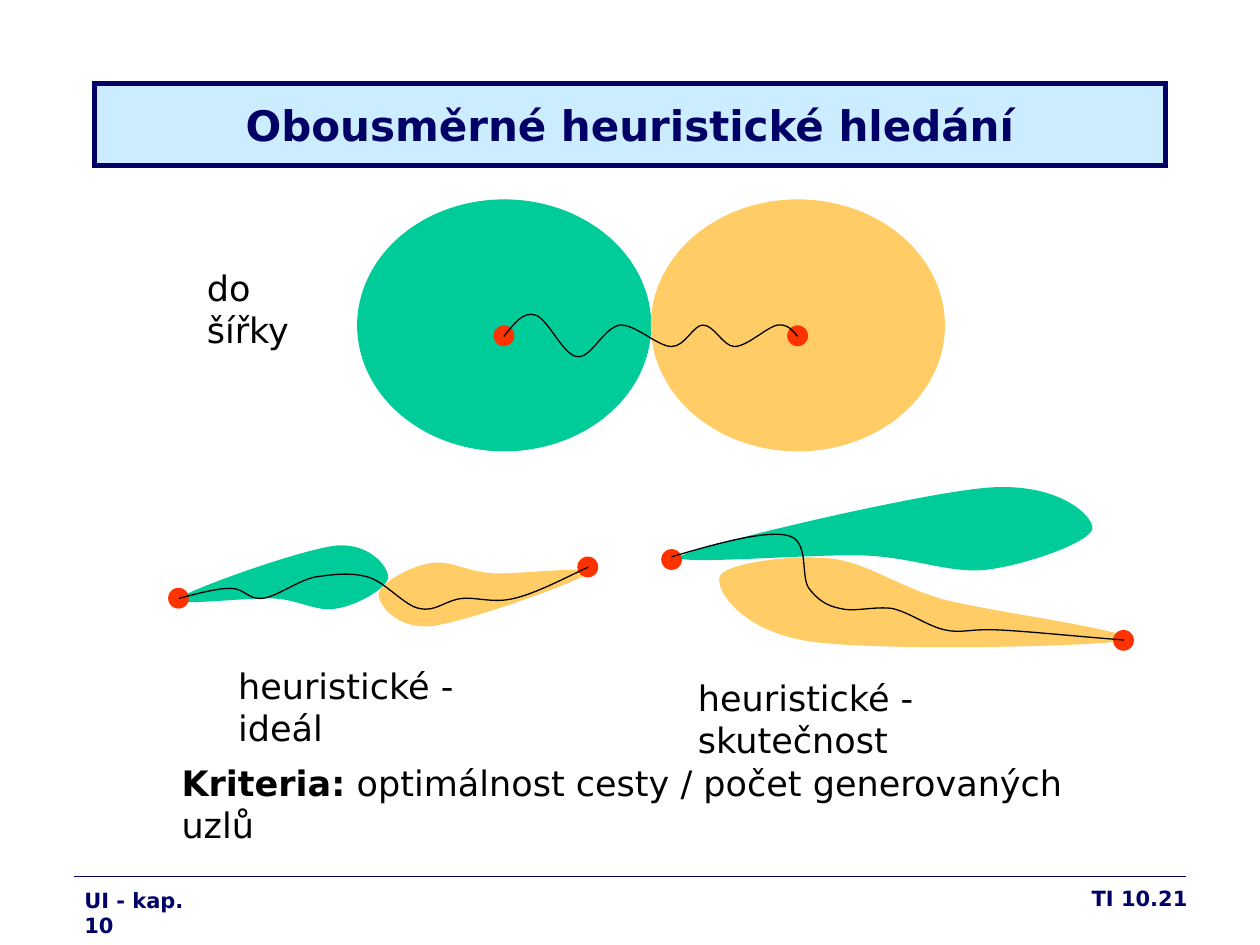
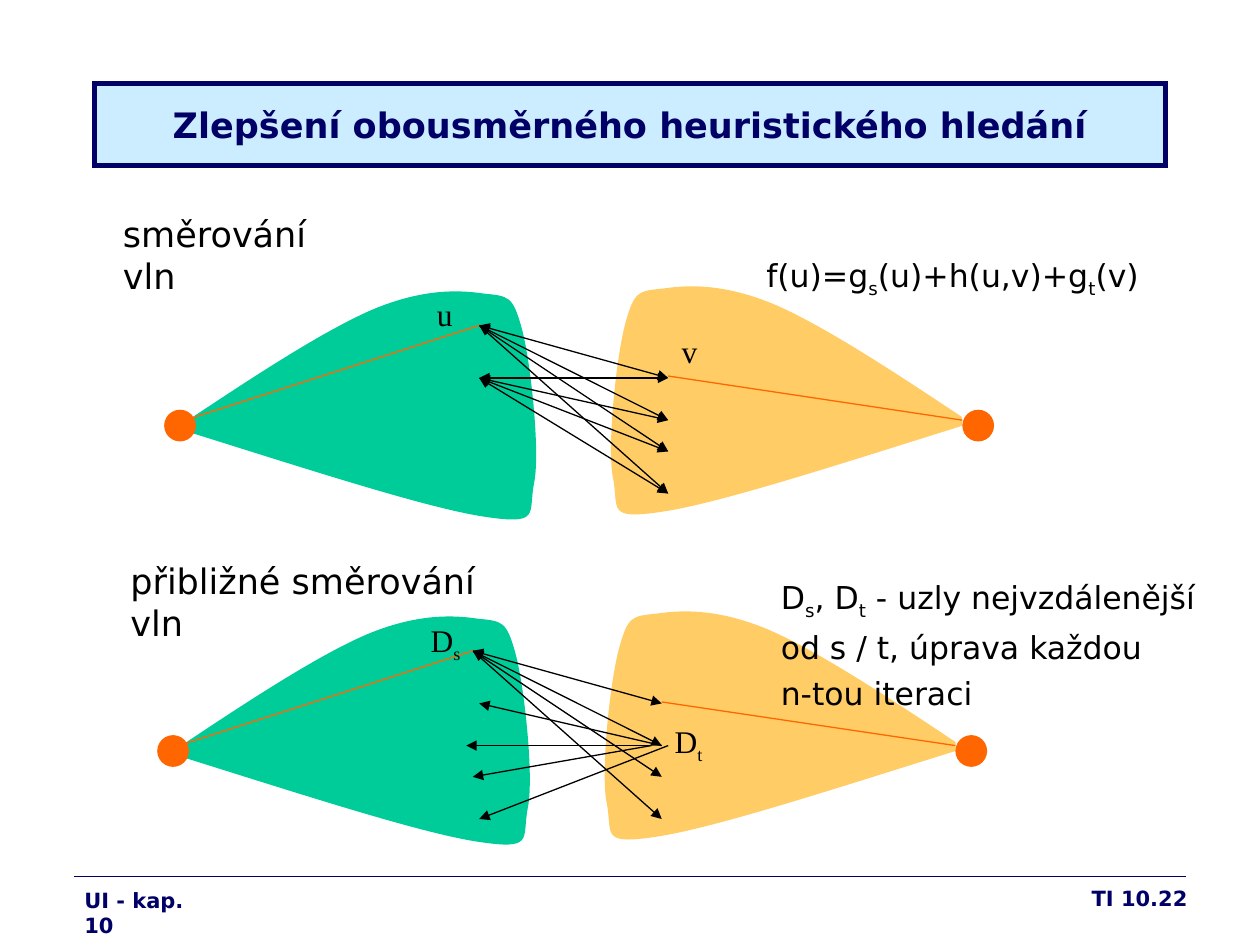
import math
import pptx
import pptx.util
import pptx.dml.color
import pptx.enum.shapes
import pptx.enum.text
import pptx.oxml.ns
from lxml import etree

Cm = pptx.util.Cm
Pt = pptx.util.Pt
RGBColor = pptx.dml.color.RGBColor
SHAPE = pptx.enum.shapes.MSO_SHAPE
ALIGN = pptx.enum.text.PP_ALIGN
ANCHOR = pptx.enum.text.MSO_ANCHOR
qn = pptx.oxml.ns.qn

NAVY = RGBColor(0x00, 0x00, 0x66)
PALE_BLUE = RGBColor(0xCC, 0xEC, 0xFF)
GREEN = RGBColor(0x00, 0xCC, 0x99)
SAND = RGBColor(0xFF, 0xCC, 0x66)
RED = RGBColor(0xFF, 0x33, 0x00)
ORANGE = RGBColor(0xFF, 0x66, 0x00)
BLACK = RGBColor(0, 0, 0)
SANS, SERIF = "DejaVu Sans", "Times New Roman"
CURVE_UNIT = Cm(2.54) / 100  # curve points count hundredths of an inch


def write(sp, paragraphs, size, font=SANS, color=BLACK, bold=False, align=ALIGN.LEFT):
    """Fill a shape with paragraphs of (text, style) runs; style is "", "b" or "sub"."""
    tf = sp.text_frame
    tf.word_wrap = True
    for i, runs in enumerate(paragraphs):
        p = tf.add_paragraph() if i else tf.paragraphs[0]
        p.alignment = align
        if i:
            p.space_before = Pt(4.5)
        for text, style in runs:
            r = p.add_run()
            r.text = text
            r.font.size = Pt(size)
            r.font.name = font
            r.font.color.rgb = color
            r.font.bold = bold or style == "b"
            if style == "sub":
                r.font._element.set("baseline", "-25000")


def curve(s, pts, fill=None):
    """Draw a chain of cubic Beziers: a filled lobe, or a thin black path."""
    pts = [(100 * x, 100 * y) for x, y in pts]
    fb = s.shapes.build_freeform(*pts[0], scale=CURVE_UNIT / 100)
    fb.add_line_segments(pts[1:], close=pts[0] == pts[-1])
    sp = fb.convert_to_shape()
    # Every three straight segments become one Bezier segment
    corners = list(sp._element.iter(qn("a:lnTo")))
    for i in range(0, len(corners), 3):
        bezier = etree.Element(qn("a:cubicBezTo"))
        corners[i].addprevious(bezier)
        for corner in corners[i:i + 3]:
            bezier.append(corner[0])
            corner.getparent().remove(corner)
    sp.shadow.inherit = False
    if fill is None:
        sp.fill.background()
        sp.line.color.rgb = BLACK
        sp.line.width = Pt(0.75)
    else:
        sp.fill.solid()
        sp.fill.fore_color.rgb = fill
        sp.line.fill.background()
    return sp


prs = pptx.Presentation()
prs.slide_width, prs.slide_height = Cm(25.4), Cm(19.05)

# Shared title band and footer
for title, size, number in (
    ("Obousměrné heuristické hledání", 24, "TI 10.21"),
    ("Zlepšení obousměrného heuristického hledání", 20, "TI 10.22"),
):
    s = prs.slides.add_slide(prs.slide_layouts[6])
    sp = s.shapes.add_textbox(Cm(1.45), Cm(17.76), Cm(2.84), Cm(0.76))
    write(sp, [[("UI - kap. 10", "")]], 12, color=NAVY, bold=True)
    sp = s.shapes.add_textbox(Cm(18.91), Cm(17.73), Cm(5.28), Cm(0.91))
    write(sp, [[(number, "")]], 12, color=NAVY, bold=True, align=ALIGN.RIGHT)
    sp = s.shapes.add_shape(SHAPE.RECTANGLE, Cm(1.9), Cm(1.69), Cm(21.6), Cm(1.65))
    sp.shadow.inherit = False
    sp.fill.solid()
    sp.fill.fore_color.rgb = PALE_BLUE
    sp.line.color.rgb = NAVY
    sp.line.width = Pt(3)
    etree.SubElement(sp.line._get_or_add_ln(), qn("a:miter"), lim="800000")
    sp.text_frame.vertical_anchor = ANCHOR.MIDDLE
    write(sp, [[(title, "")]], size, color=NAVY, bold=True, align=ALIGN.CENTER)

s1, s2 = prs.slides

# Ideal heuristic search: the second lobe is the first turned half round
ideal = [(142, 475), (150, 468), (239, 436), (267, 433), (294, 431), (308, 450), (308, 458),
         (308, 467), (282, 481), (267, 483), (251, 486), (238, 476), (217, 475),
         (196, 474), (133, 482), (142, 475)]
curve(s1, ideal, GREEN)
curve(s1, [(608.5 - x, 930 - y) for x, y in ideal], SAND)

# Real heuristic search: the lobes miss each other, the lower one is tilted
curve(s1, [(541, 441), (558, 432), (731, 391), (785, 387), (840, 383), (867, 409), (867, 419),
           (867, 430), (815, 448), (785, 452), (755, 456), (728, 443), (688, 441),
           (647, 439), (525, 450), (541, 441)], GREEN)
lower = [(893, 508), (875, 513), (697, 517), (643, 509), (589, 501), (568, 469), (571, 458),
         (573, 447), (628, 440), (658, 443), (688, 446), (711, 465), (750, 476),
         (790, 486), (911, 502), (893, 508)]
TILT, MID_X, MID_Y = 12.7, 738, 495.5
cos, sin = math.cos(math.radians(TILT)), math.sin(math.radians(TILT))
sp = curve(s1, [(MID_X + (x - MID_X) * cos + (y - MID_Y) * sin,
                 MID_Y - (x - MID_X) * sin + (y - MID_Y) * cos) for x, y in lower], SAND)
sp.rotation = TILT

# Wave lobes: mirrored left to right, repeated lower down
wave = [(147, 335), (201, 299), (256, 263), (295, 246), (335, 229), (364, 230), (384, 233),
        (404, 235), (407, 235), (414, 260), (421, 285), (429, 358), (424, 383),
        (419, 408), (430, 417), (384, 410), (338, 403), (243, 372), (147, 342)]
for dx, dy in ((0, 0), (-5, 258)):
    curve(s2, [(x + dx, y + dy) for x, y in wave], GREEN)
    curve(s2, [(910.5 - x + dx, y - 4 + dy) for x, y in wave], SAND)

# Breadth-first circles, then the end nodes
for s, x, y, w, h, color in (
    (s1, 7.2, 4.02, 5.93, 5.08, GREEN),
    (s1, 13.12, 4.02, 5.93, 5.08, SAND),
    (s1, 9.95, 6.56, 0.42, 0.42, RED),
    (s1, 15.87, 6.56, 0.42, 0.42, RED),
    (s1, 3.39, 11.85, 0.42, 0.42, RED),
    (s1, 11.64, 11.22, 0.42, 0.42, RED),
    (s1, 13.33, 11.07, 0.42, 0.42, RED),
    (s1, 22.44, 12.7, 0.42, 0.42, RED),
    (s2, 3.31, 8.26, 0.64, 0.64, ORANGE),
    (s2, 19.4, 8.26, 0.64, 0.64, ORANGE),
    (s2, 3.17, 14.82, 0.64, 0.64, ORANGE),
    (s2, 19.26, 14.82, 0.64, 0.64, ORANGE),
):
    sp = s.shapes.add_shape(SHAPE.OVAL, Cm(x), Cm(y), Cm(w), Cm(h))
    sp.shadow.inherit = False
    sp.fill.solid()
    sp.fill.fore_color.rgb = color
    sp.line.fill.background()

# Winding paths between the end nodes
for path in (
    [(400, 267), (408, 257), (415, 247), (425, 250), (435, 253), (447, 282), (458, 283),
     (469, 285), (479, 260), (492, 258), (504, 257), (522, 275), (533, 275),
     (544, 275), (550, 258), (558, 258), (567, 258), (574, 275), (583, 275),
     (593, 275), (608, 260), (617, 258), (625, 257), (629, 262), (633, 267)],
    [(142, 475), (157, 471), (172, 467), (183, 467), (194, 467), (197, 476), (208, 475),
     (219, 474), (236, 461), (250, 458), (264, 456), (278, 454), (292, 458),
     (306, 462), (321, 481), (333, 483), (346, 486), (354, 476), (367, 475),
     (379, 474), (392, 479), (408, 475), (425, 471), (446, 460), (467, 450)],
    [(533, 442), (570, 431), (607, 421), (625, 425), (643, 429), (635, 457), (642, 467),
     (649, 476), (656, 481), (667, 483), (678, 486), (694, 481), (708, 483),
     (722, 486), (736, 497), (750, 500), (764, 503), (768, 499), (792, 500),
     (815, 501), (853, 505), (892, 508)],
):
    curve(s1, path)

# Straight lines: footer rules, arrows between the wave fronts, found paths
BOTH, END = ("headEnd", "tailEnd"), ("tailEnd",)
lines = [(s, 1.5, 17.67, 23.9, 17.67, NAVY, ()) for s in (s1, s2)]
for x1, y1, x2, targets, last_heads in (
    (9.66, 6.56, 13.47, (7.62, 8.47, 9.1, 9.95), END),
    (9.66, 7.62, 13.47, (7.62, 8.47, 9.1, 9.95), BOTH),
    (9.53, 13.12, 13.34, (14.18, 15.03, 15.66, 16.51), END),
):
    lines += [(s2, x1, y1, x2, y2, BLACK, BOTH) for y2 in targets[:-1]]
    lines.append((s2, x1, y1, x2, targets[-1], BLACK, last_heads))
for x1, x2, y2 in ((13.13, 9.4, 15.03), (13.13, 9.53, 15.66),
                   (13.34, 9.66, 14.18), (13.47, 9.66, 16.51)):
    lines.append((s2, x1, 15.03, x2, y2, BLACK, END))
for x1, y1, x2, y2 in ((3.73, 8.47, 9.66, 6.56), (13.47, 7.58, 19.4, 8.47),
                       (3.6, 15.03, 9.53, 13.12), (13.34, 14.15, 19.26, 15.03)):
    lines.append((s2, x1, y1, x2, y2, ORANGE, ()))

for s, x1, y1, x2, y2, color, heads in lines:
    cn = s.shapes.add_connector(pptx.enum.shapes.MSO_CONNECTOR.STRAIGHT,
                                Cm(x1), Cm(y1), Cm(x2), Cm(y2))
    cn.line.color.rgb = color
    cn.line.width = Pt(0.75)
    for end in heads:
        etree.SubElement(cn.line._get_or_add_ln(), qn("a:" + end), type="triangle")
    etree.SubElement(cn._element.spPr, qn("a:effectLst"))

# Labels
for s, x, y, w, h, size, font, paragraphs in (
    (s1, 3.92, 5.24, 3.1, 1.12, 20, SANS, [[("do šířky", "")]]),
    (s1, 4.55, 13.27, 6.32, 1.12, 20, SANS, [[("heuristické - ideál", "")]]),
    (s1, 13.82, 13.52, 8.33, 1.12, 20, SANS, [[("heuristické - skutečnost", "")]]),
    (s1, 3.41, 15.22, 18.42, 1.12, 20, SANS,
     [[("Kriteria:", "b"), (" optimálnost cesty / počet generovaných uzlů", "")]]),
    (s2, 2.23, 4.15, 5.16, 1.12, 20, SANS, [[("směrování vln", "")]]),
    (s2, 2.38, 11.15, 8.23, 1.12, 20, SANS, [[("přibližné směrování vln", "")]]),
    (s2, 15.2, 5.04, 8.71, 1.12, 18, SANS,
     [[("f(u)=g", ""), ("s", "sub"), ("(u)+h(u,v)+g", ""), ("t", "sub"), ("(v)", "")]]),
    (s2, 8.56, 5.82, 0.81, 1.02, 18, SERIF, [[("u", "")]]),
    (s2, 13.49, 6.56, 0.81, 1.02, 18, SERIF, [[("v", "")]]),
    (s2, 8.43, 12.4, 1.15, 1.12, 18, SERIF, [[("D", ""), ("s", "sub")]]),
    (s2, 13.35, 14.43, 1.15, 1.12, 18, SERIF, [[("D", ""), ("t", "sub")]]),
    (s2, 15.49, 11.52, 9.4, 2.97, 18, SANS,
     [[("D", ""), ("s", "sub"), (", D", ""), ("t", "sub"), (" - uzly nejvzdálenější", "")],
      [("od s / t, úprava každou", "")],
      [("n-tou iteraci", "")]]),
):
    write(s.shapes.add_textbox(Cm(x), Cm(y), Cm(w), Cm(h)), paragraphs, size, font)

prs.save("out.pptx")
